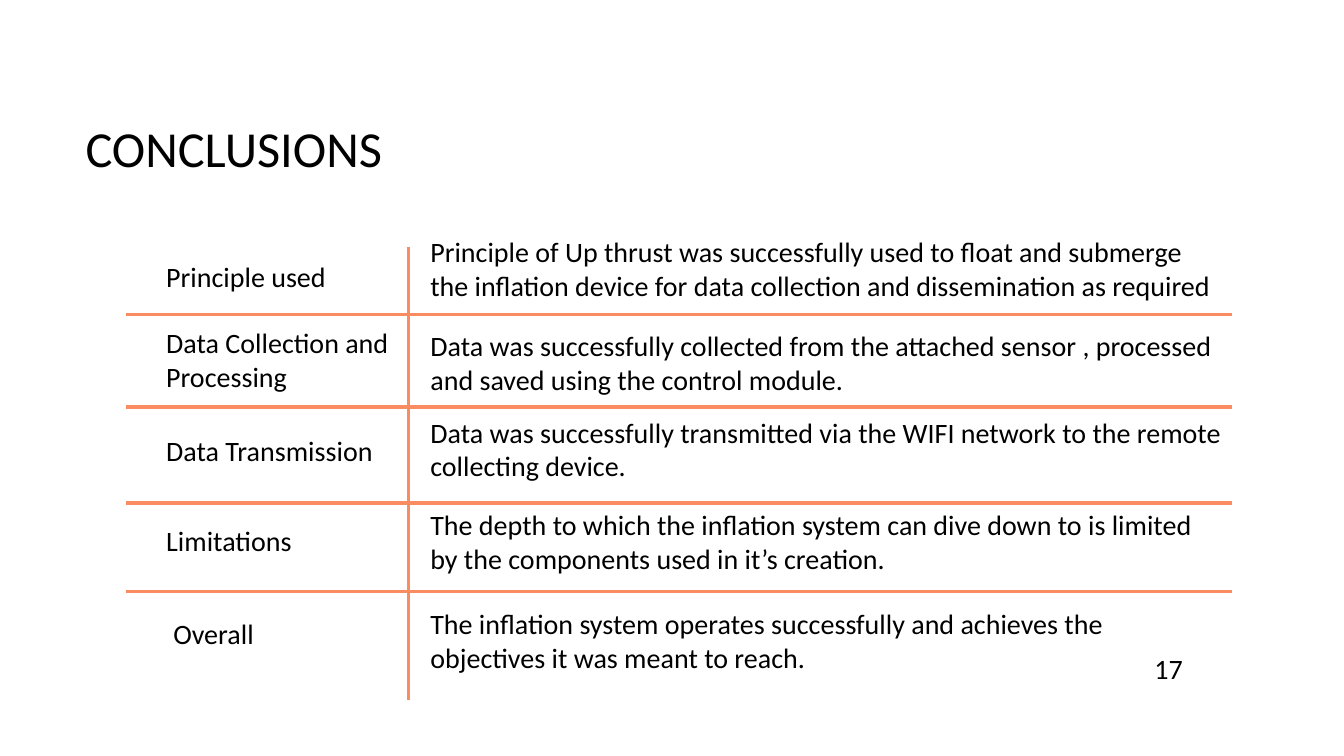
import pptx
import pptx.util
import pptx.dml.color
import pptx.enum.shapes
import pptx.enum.text
import pptx.oxml
import pptx.oxml.ns

PX = 9144  # 100 px to the inch
INK, CORAL = "000000", "F98C61"
ALIGN = pptx.enum.text.PP_ALIGN
ANCHOR = pptx.enum.text.MSO_ANCHOR

# Label, its left and top offsets, body text, its top offset, rule below
ROWS = [
    ("Principle used", 30, 25,
     "Principle of Up thrust was successfully used to float and submerge "
     "the inflation device for data collection and dissemination as required",
     0, 84),
    ("Data Collection and Processing", 30, 90,
     "Data was successfully collected from the attached sensor , processed "
     "and saved using the control module.", 93, 176),
    ("Data Transmission", 30, 197,
     "Data was successfully transmitted via the WIFI network to the remote "
     "collecting device.", 179, 271),
    ("Limitations", 30, 286,
     "The depth to which the inflation system can dive down to is limited "
     "by the components used in it’s creation.", 271, 359),
    ("Overall", 37, 379,
     "The inflation system operates successfully and achieves the "
     "objectives it was meant to reach.", 369, None),
]


def px(n):
    return pptx.util.Emu(n * PX)


def color(code):
    return pptx.dml.color.RGBColor.from_string(code)


def write(slide, box, text, size=20, align=ALIGN.LEFT, anchor=ANCHOR.TOP):
    frame = slide.shapes.add_textbox(*map(px, box)).text_frame
    frame.word_wrap = True
    frame.vertical_anchor = anchor
    para = frame.paragraphs[0]
    para.alignment = align
    run = para.add_run()
    run.text = text
    run.font.name = "Calibri"
    run.font.size = pptx.util.Pt(size)
    run.font.color.rgb = color(INK)


def rule(slide, x1, y1, x2, y2):
    kind = pptx.enum.shapes.MSO_CONNECTOR.STRAIGHT
    line = slide.shapes.add_connector(kind, *map(px, (x1, y1, x2, y2)))
    line.line.color.rgb = color(CORAL)
    line.line.width = pptx.util.Pt(2.5)
    # No theme shadow
    line._element.spPr.append(pptx.oxml.parse_xml(
        f'<a:effectLst {pptx.oxml.ns.nsdecls("a")}/>'))


def title(slide, box):
    write(slide, box, "CONCLUSIONS", size=36, anchor=ANCHOR.MIDDLE)


def grid(slide, box):
    left, top, width, height = box
    split = left + 280
    # Divider between labels and findings
    rule(slide, split, top + 17, split, top + height)
    for label, dx, dy, text, drop, base in ROWS:
        if base is not None:
            rule(slide, left, top + base, left + width, top + base)
        write(slide, (left + dx, top + dy, 291, 44), label)
        write(slide, (split + 12, top + drop, 804, 77), text)


def number(slide, box):
    write(slide, box, "17", align=ALIGN.RIGHT, anchor=ANCHOR.MIDDLE)


def main():
    deck = pptx.Presentation()
    deck.slide_width, deck.slide_height = px(1333), px(750)
    slide = deck.slides.add_slide(deck.slide_layouts[6])
    title(slide, (75, 67, 1108, 159))
    grid(slide, (125, 228, 1097, 466))
    number(slide, (1123, 642, 60, 41))
    deck.save("out.pptx")


if __name__ == "__main__":
    main()
